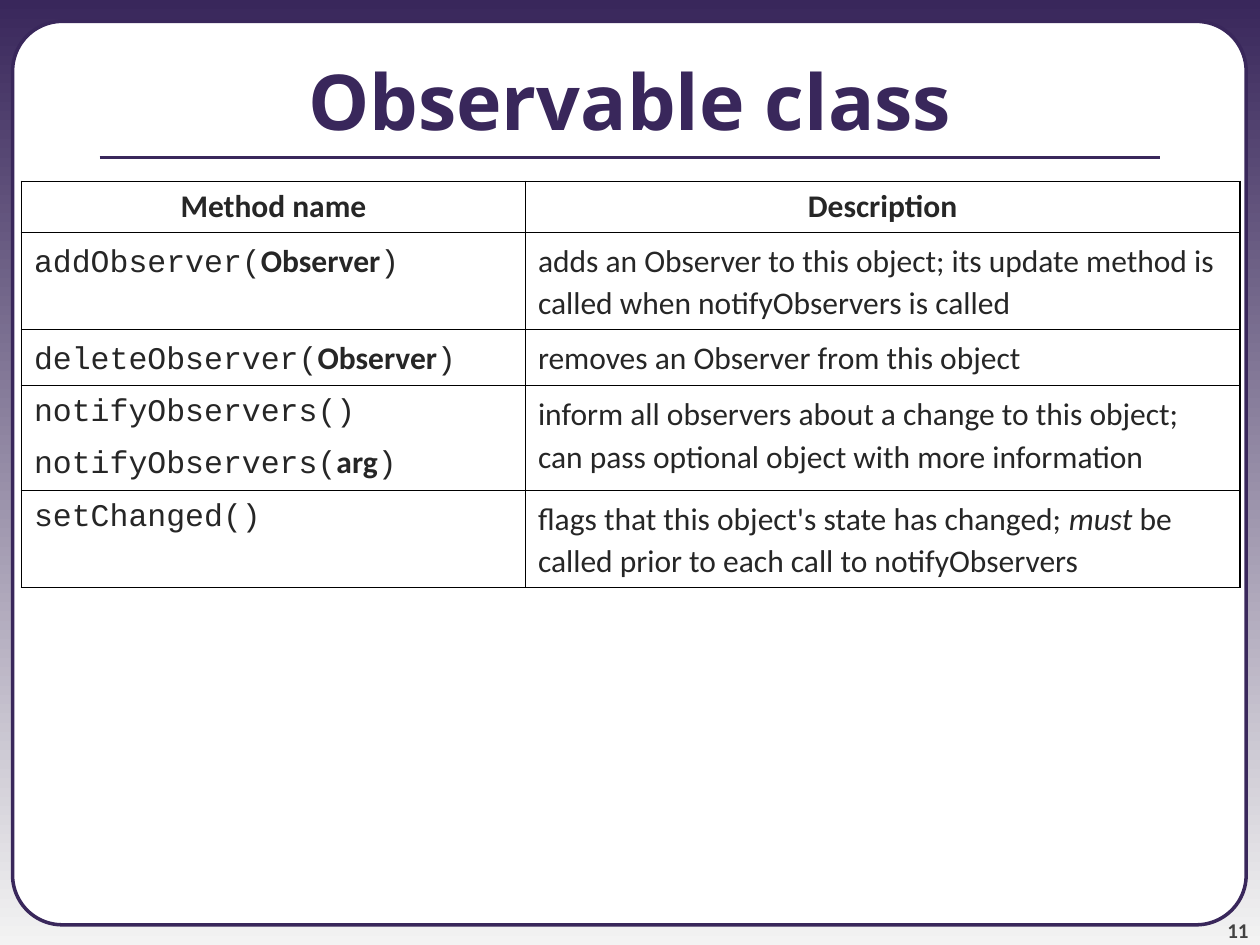
import pptx
import pptx.util
import pptx.oxml
import pptx.oxml.ns
from pptx.dml.color import RGBColor
from pptx.enum.shapes import MSO_CONNECTOR, MSO_SHAPE
from pptx.enum.text import MSO_ANCHOR, PP_ALIGN
from pptx.util import Inches, Pt

PURPLE = RGBColor(0x39, 0x27, 0x5B)
PALE = RGBColor(0xF3, 0xF3, 0xF3)
WHITE = RGBColor(0xFF, 0xFF, 0xFF)
INK = RGBColor(0x26, 0x26, 0x26)
GRAY = RGBColor(0x42, 0x42, 0x42)
BLACK = RGBColor(0, 0, 0)

SANS, MONO = "Calibri", "Courier New"
THICK, THIN = 1.08, 0.45

# Run styles: font, bold, italic
PLAIN = (SANS, False, False)
BOLD = (SANS, True, False)
ITALIC = (SANS, False, True)
CODE = (MONO, False, False)


def call(name, arg):
    return [(name + "(", CODE), (arg, BOLD), (")", CODE)]


# Each cell is a list of paragraphs, each paragraph a list of runs.
METHODS = [
    ([[("Method name", BOLD)]], [[("Description", BOLD)]]),
    ([call("addObserver", "Observer")],
     [[("adds an Observer to this object; its update method is "
        "called when notifyObservers is called", PLAIN)]]),
    ([call("deleteObserver", "Observer")],
     [[("removes an Observer from this object", PLAIN)]]),
    ([[("notifyObservers()", CODE)], call("notifyObservers", "arg")],
     [[("inform all observers about a change to this object; "
        "can pass optional object with more information", PLAIN)]]),
    ([[("setChanged()", CODE)]],
     [[("flags that this object's state has changed; ", PLAIN),
       ("must ", ITALIC),
       ("be called prior to each call to notifyObservers", PLAIN)]]),
]
WIDTHS = [4, 5.67]
HEIGHTS = [0.4, 0.76, 0.43, 0.83, 0.76]


def set_font(font, name, size, color, bold=False, italic=False):
    font.name, font.size = name, Pt(size)
    font.color.rgb = color
    font.bold, font.italic = bold, italic


def add_frame(slide, left, top, width, height):
    """Gradient background with a rounded white panel and the page number."""
    fill = slide.background.fill
    fill.gradient()
    fill.gradient_angle = 270
    for stop, color, place in zip(fill.gradient_stops, (PURPLE, PALE), (0, 1)):
        stop.color.rgb, stop.position = color, place

    panel = slide.shapes.add_shape(
        MSO_SHAPE.ROUNDED_RECTANGLE, left, top, width, height)
    panel.adjustments[0] = 0.055
    panel.shadow.inherit = False
    panel.fill.solid()
    panel.fill.fore_color.rgb = WHITE
    panel.line.color.rgb, panel.line.width = PURPLE, Pt(2)

    box = slide.shapes.add_textbox(
        left + width - Inches(0.81), top + height - Inches(0.26),
        Inches(0.83), Inches(0.4))
    frame = box.text_frame
    frame.word_wrap = True
    frame.vertical_anchor = MSO_ANCHOR.BOTTOM
    frame.margin_left = frame.margin_right = 0
    frame.margin_top = frame.margin_bottom = 0
    number = frame.paragraphs[0]
    number.text, number.alignment = "11", PP_ALIGN.RIGHT
    number.space_before = Pt(5)
    set_font(number.font, SANS, 12, GRAY, bold=True)


def add_title(slide, text, left, top, width, height):
    """Title, with a rule below it."""
    title = slide.shapes.title
    slide.shapes._spTree.append(title._element)  # in front of the panel
    title.left, title.top, title.width, title.height = left, top, width, height
    title.text_frame.vertical_anchor = MSO_ANCHOR.MIDDLE
    head = title.text_frame.paragraphs[0]
    head.text, head.alignment = text, PP_ALIGN.CENTER
    set_font(head.font, "Noto Sans", 44, PURPLE, bold=True)

    inset, y = Inches(0.79), top + height - Inches(0.17)
    rule = slide.shapes.add_connector(
        MSO_CONNECTOR.STRAIGHT, left + inset, y, left + width - inset, y)
    rule.line.color.rgb, rule.line.width = PURPLE, Pt(2.25)
    rule._element.spPr.append(pptx.oxml.parse_xml(
        "<a:effectLst %s/>" % pptx.oxml.ns.nsdecls("a")))


def set_edges(cell, edges):
    """Draw the cell's borders; edges maps L, R, T and B to points."""
    props = cell._tc.get_or_add_tcPr()
    for side, width in edges.items():
        props.append(pptx.oxml.parse_xml(
            '<a:ln%s %s w="%d"><a:solidFill><a:srgbClr val="%s"/></a:solidFill>'
            "</a:ln%s>" % (side, pptx.oxml.ns.nsdecls("a"), Pt(width),
                           BLACK, side)))


def fill_cell(cell, paras, head):
    frame = cell.text_frame
    for i, runs in enumerate(paras):
        para = frame.add_paragraph() if i else frame.paragraphs[0]
        para.space_before = Pt(4.5)
        para.alignment = PP_ALIGN.CENTER if head else PP_ALIGN.LEFT
        para.line_spacing = 1.0 if head else 1.1
        for text, (name, bold, italic) in runs:
            run = para.add_run()
            run.text = text
            set_font(run.font, name, 18, INK, bold, italic)


def add_methods(slide, left, top):
    """Method table: thick outline, thin inner lines."""
    rows, cols = len(HEIGHTS), len(WIDTHS)
    table = slide.shapes.add_table(
        rows, cols, left, top, Inches(sum(WIDTHS)), Inches(sum(HEIGHTS))).table
    table.first_row = table.horz_banding = False
    for col, width in zip(table.columns, WIDTHS):
        col.width = Inches(width)
    for r, cells in enumerate(METHODS):
        table.rows[r].height = Inches(HEIGHTS[r])
        for c, paras in enumerate(cells):
            cell = table.cell(r, c)
            outer = {"L": c == 0, "R": c == cols - 1,
                     "T": r == 0, "B": r == rows - 1}
            set_edges(cell, {side: THICK if out else THIN
                             for side, out in outer.items()})
            cell.fill.background()
            fill_cell(cell, paras, head=r == 0)


def main():
    deck = pptx.Presentation()
    deck.slide_width, deck.slide_height = Inches(10), Inches(7.5)
    slide = deck.slides.add_slide(deck.slide_layouts[5])
    add_frame(slide, Inches(0.1), Inches(0.17), Inches(9.79), Inches(7.17))
    add_title(slide, "Observable class",
              Inches(0), Inches(0.17), Inches(10), Inches(1.25))
    add_methods(slide, Inches(0.17), Inches(1.44))
    deck.save("out.pptx")


if __name__ == "__main__":
    main()
